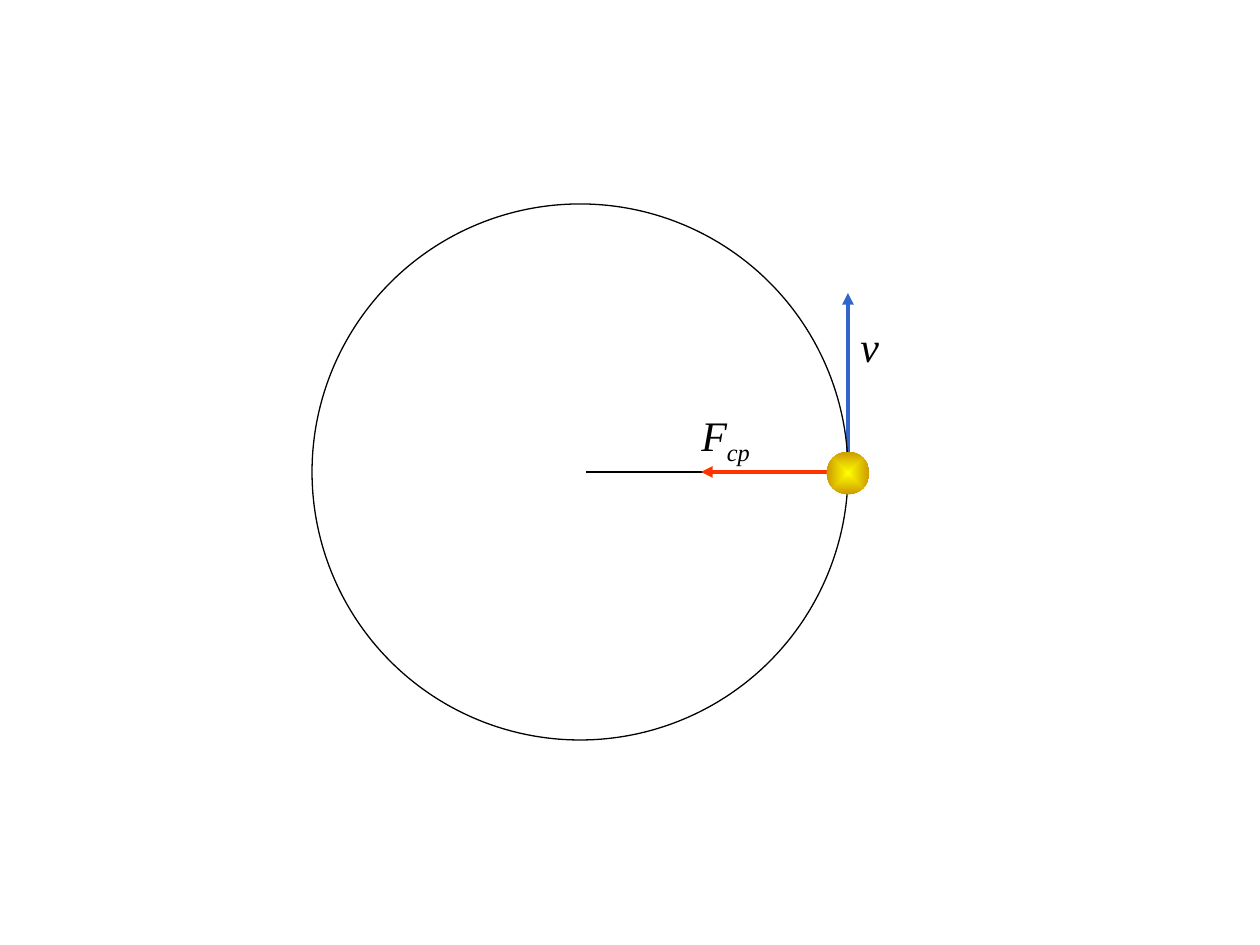
from lxml import etree
from pptx import Presentation
from pptx.dml.color import RGBColor
from pptx.enum.shapes import MSO_CONNECTOR, MSO_SHAPE
from pptx.oxml import parse_xml
from pptx.oxml.ns import nsdecls, qn
from pptx.util import Pt

EMU_PER_PX = 914400 / 126
OVAL = MSO_SHAPE.OVAL
STRAIGHT = MSO_CONNECTOR.STRAIGHT
FONT = "Times New Roman"
BLACK, RED, BLUE = "000000", "FF3300", "3366CC"
YELLOW, GOLD = "FFFF00", "CC9900"


def px(length):
    """Turn pixels into EMU."""
    return round(length * EMU_PER_PX)


def color(value):
    """Turn a hex string into a colour."""
    return RGBColor.from_string(value)


def add_line(page, start, end, stroke, weight, arrow=False):
    """Draw a straight line, with an arrowhead at its end if wanted."""
    line = page.shapes.add_connector(STRAIGHT, *map(px, (*start, *end)))
    line.line.color.rgb = color(stroke)
    line.line.width = Pt(weight)
    if arrow:
        etree.SubElement(line.line._get_or_add_ln(), qn("a:tailEnd"), type="triangle")
    etree.SubElement(line._element.spPr, qn("a:effectLst"))


def add_label(page, left, top, width, height, symbol, subscript=""):
    """Write an italic symbol with an optional subscript."""
    box = page.shapes.add_textbox(*map(px, (left, top, width, height)))
    box.text_frame.word_wrap = False
    para = box.text_frame.paragraphs[0]
    for text in filter(None, (symbol, subscript)):
        span = para.add_run()
        span.text = text
        span.font.name = FONT
        span.font.size = Pt(24)
        span.font.italic = True
        span.font.color.rgb = color(BLACK)
        if text == subscript:
            span.font._element.set("baseline", "-25000")


def add_circle(page, center_x, center_y, diameter):
    """Add an ellipse around a center without shadow."""
    left, top = center_x - diameter / 2, center_y - diameter / 2
    circle = page.shapes.add_shape(OVAL, *map(px, (left, top, diameter, diameter)))
    circle.shadow.inherit = False
    return circle


def add_orbit(page, center_x, center_y, diameter):
    """Draw the outlined circular path."""
    orbit = add_circle(page, center_x, center_y, diameter)
    orbit.fill.background()
    orbit.line.color.rgb = color(BLACK)
    orbit.line.width = Pt(0.75)


def add_ball(page, center_x, center_y, diameter):
    """Draw the ball with a gradient from its center outwards."""
    ball = add_circle(page, center_x, center_y, diameter)
    ball.line.fill.background()
    gradient = parse_xml(
        f'<a:gradFill {nsdecls("a")} rotWithShape="1"><a:gsLst>'
        f'<a:gs pos="0"><a:srgbClr val="{YELLOW}"/></a:gs>'
        f'<a:gs pos="100000"><a:srgbClr val="{GOLD}"/></a:gs></a:gsLst>'
        '<a:path path="shape"><a:fillToRect l="50000" t="50000" r="50000" b="50000"/>'
        "</a:path></a:gradFill>"
    )
    ball._element.spPr.find(qn("a:prstGeom")).addnext(gradient)


def add_circular_motion(page, left, top, diameter):
    """Draw the orbit with its ball, velocity and centripetal force."""
    center_x, center_y = left + diameter / 2, top + diameter / 2
    ball_x = left + diameter
    ball = (ball_x, center_y)
    add_line(page, ball, (center_x + 6, center_y), BLACK, 0.75)
    add_line(page, ball, (ball_x - 147, center_y), RED, 2.25, arrow=True)
    add_line(page, ball, (ball_x, center_y - 179), BLUE, 2.25, arrow=True)
    add_label(page, ball_x - 159, center_y - 69, 77, 63, "F", "cp")
    add_label(page, ball_x, center_y - 158, 44, 63, "v")
    add_orbit(page, center_x, center_y, diameter)
    add_ball(page, ball_x, center_y + 1, 43)


def main():
    """Build and save the deck."""
    deck = Presentation()
    deck.slide_width, deck.slide_height = px(1260), px(945)
    page = deck.slides.add_slide(deck.slide_layouts[6])
    add_circular_motion(page, 312, 204, 536)
    deck.save("out.pptx")


if __name__ == "__main__":
    main()
